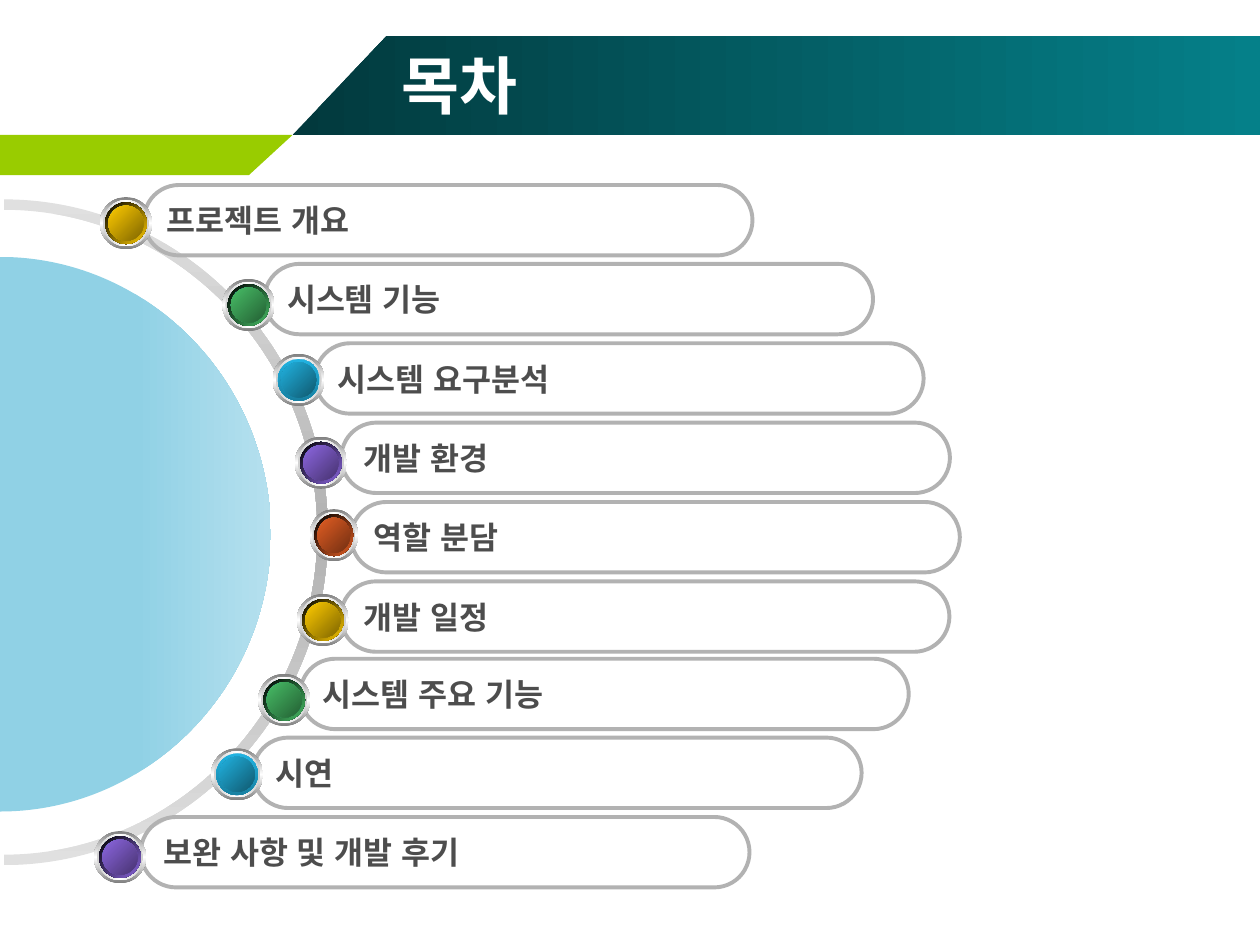
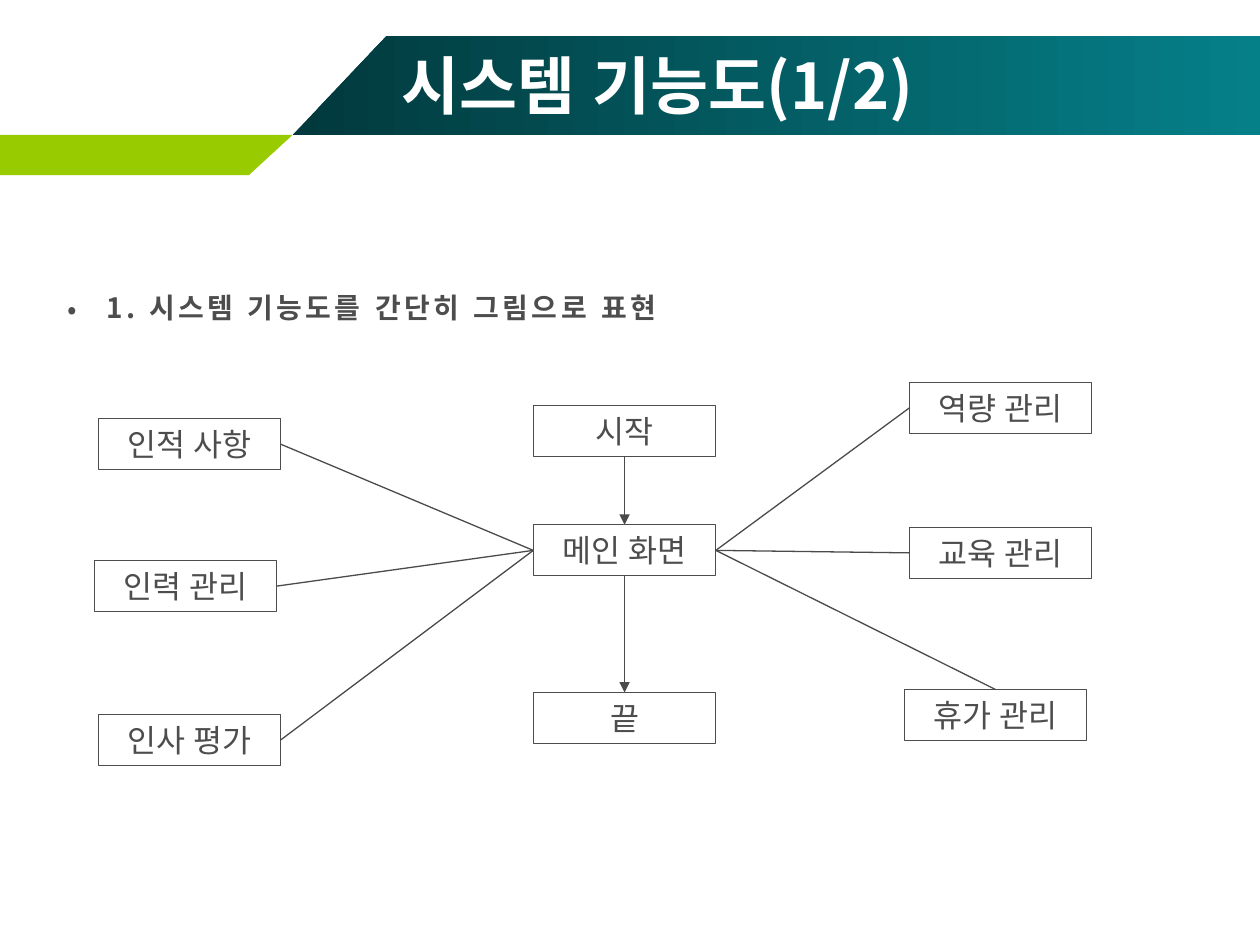
from dataclasses import dataclass
from typing import Any

from lxml import etree
from pptx import Presentation
from pptx.dml.color import RGBColor
from pptx.enum.shapes import MSO_CONNECTOR, MSO_SHAPE
from pptx.enum.text import MSO_ANCHOR, PP_ALIGN
from pptx.oxml.ns import qn
from pptx.util import Cm, Pt

STRAIGHT = MSO_CONNECTOR.STRAIGHT
ELLIPSE, PILL, BOX = MSO_SHAPE.OVAL, MSO_SHAPE.ROUNDED_RECTANGLE, MSO_SHAPE.RECTANGLE
MIDDLE, TOP = MSO_ANCHOR.MIDDLE, MSO_ANCHOR.TOP
LEFT, CENTER = PP_ALIGN.LEFT, PP_ALIGN.CENTER
SIDE_TOP, SIDE_LEFT, SIDE_BOTTOM, SIDE_RIGHT = range(4)

KOREAN_FONT, BASE_FONT = "Noto Sans CJK KR", "Arial"
WHITE, BLACK, INK, LINE_INK = "FFFFFF", "000000", "4D4D4D", "4B4B4B"
LIME, SILVER = "99CC00", "B2B2B2"
BAND_COLORS = ["02393D", "058089"]
RING_COLORS = ["E0E0E0", SILVER, "E0E0E0"]
DISC_COLORS = ["90D1E5", "90D1E5", "B5E0EE"]
CURVE = 0.55

TITLE_FORMAT = {"size": Pt(36), "bold": True, "name": KOREAN_FONT}
TOPIC_FORMAT = {"size": Pt(18), "bold": True, "name": KOREAN_FONT}
LEAD_FORMAT = {"size": Pt(16), "bold": True, "name": KOREAN_FONT}
STEP_FORMAT = {"size": Pt(18), "bold": False, "name": BASE_FONT}
NO_MARGINS = {"margin_left": 0, "margin_right": 0, "margin_top": 0, "margin_bottom": 0}

Point = tuple[float, float]


@dataclass(frozen=True)
class BeadColor:
    rim: list[str]
    rim_angle: int
    core: list[str]


@dataclass(frozen=True)
class Topic:
    label: str
    left: float
    top: float
    bead_x: float
    bead_y: float
    color: BeadColor
    squeeze: float = 1.0


@dataclass(frozen=True)
class Step:
    label: str
    left: float
    top: float


@dataclass(frozen=True)
class Link:
    start: str
    start_side: int
    end: str
    end_side: int
    arrow: bool = False


YELLOW = BeadColor([BLACK, "FFCC00"], 45, ["FFCC00", "806600"])
GREEN = BeadColor([BLACK, "48BE67"], 45, ["48BE67", "246034"])
BLUE = BeadColor(["21B3E1", "1880A1"], 90, ["21B3E1", "10596F"])
PURPLE = BeadColor([BLACK, "8D67E1"], 45, ["8D67E1", "473370"])
ORANGE = BeadColor([BLACK, "E35E23"], 45, ["E35E23", "722F12"])

TOPICS = [
    Topic("프로젝트 개요", 2.9, 3.73, 2.54, 4.5, YELLOW),
    Topic("시스템 기능", 5.33, 5.32, 5.01, 6.15, GREEN),
    Topic("시스템 요구분석", 6.35, 6.92, 6.02, 7.66, BLUE),
    Topic("개발 환경", 6.88, 8.52, 6.47, 9.33, PURPLE),
    Topic("역할 분담", 7.08, 10.12, 6.73, 10.79, ORANGE, 0.93),
    Topic("개발 일정", 6.87, 11.72, 6.51, 12.5, YELLOW),
    Topic("시스템 주요 기능", 6.05, 13.28, 5.73, 14.11, GREEN),
    Topic("시연", 5.1, 14.87, 4.78, 15.61, BLUE),
    Topic("보완 사항 및 개발 후기", 2.84, 16.47, 2.42, 17.28, PURPLE),
]

START, MAIN, END = "시작", "메인 화면", "끝"
STEPS = [
    Step(START, 10.75, 8.18),
    Step(MAIN, 10.75, 10.58),
    Step(END, 10.75, 13.96),
    Step("인적 사항", 1.98, 8.44),
    Step("인력 관리", 1.9, 11.3),
    Step("인사 평가", 1.98, 14.4),
    Step("역량 관리", 18.33, 7.71),
    Step("교육 관리", 18.33, 10.63),
    Step("휴가 관리", 18.23, 13.9),
]
LINKS = [
    Link(MAIN, SIDE_LEFT, "인적 사항", SIDE_RIGHT),
    Link(MAIN, SIDE_LEFT, "인력 관리", SIDE_RIGHT),
    Link(MAIN, SIDE_LEFT, "인사 평가", SIDE_RIGHT),
    Link(MAIN, SIDE_RIGHT, "역량 관리", SIDE_LEFT),
    Link(MAIN, SIDE_RIGHT, "교육 관리", SIDE_LEFT),
    Link(MAIN, SIDE_RIGHT, "휴가 관리", SIDE_TOP),
    Link(START, SIDE_BOTTOM, MAIN, SIDE_TOP, True),
    Link(MAIN, SIDE_BOTTOM, END, SIDE_TOP, True),
]


def rgb(color: str) -> RGBColor:
    return RGBColor.from_string(color)


def set_values(target: Any, values: dict[str, Any]) -> None:
    for attribute, value in values.items():
        setattr(target, attribute, value)


def fill_shape(shape: Any, colors: list[str], angle: int = 0) -> None:
    shape.shadow.inherit = False
    shape.line.fill.background()
    if len(colors) == 1:
        shape.fill.solid()
        shape.fill.fore_color.rgb = rgb(colors[0])
        return
    shape.fill.gradient()
    gradient = shape._element.spPr.find(qn("a:gradFill"))
    stops = gradient.find(qn("a:gsLst"))
    for stop in list(stops):
        stops.remove(stop)
    for index, color in enumerate(colors):
        position = str(100000 * index // (len(colors) - 1))
        stop = etree.SubElement(stops, qn("a:gs"), pos=position)
        etree.SubElement(stop, qn("a:srgbClr"), val=color)
    gradient.find(qn("a:lin")).set("ang", str(angle * 60000))


def outline(shape: Any, color: str, width: float) -> None:
    shape.shadow.inherit = False
    shape.fill.background()
    shape.line.color.rgb = rgb(color)
    shape.line.width = Pt(width)


def write(frame: Any, text: str, values: dict[str, Any], color: str,
          align: Any = LEFT, anchor: Any = MIDDLE, wrap: bool = True) -> Any:
    set_values(frame, {"vertical_anchor": anchor, "word_wrap": wrap})
    paragraph = frame.paragraphs[0]
    paragraph.alignment = align
    run = paragraph.add_run()
    run.text = text
    set_values(run.font, values)
    run.font.color.rgb = rgb(color)
    latin = run._r.rPr.find(qn("a:latin"))
    latin.addnext(etree.Element(qn("a:ea"), typeface=BASE_FONT))
    return run


def add_outline(slide: Any, points: list[Point], colors: list[str], angle: int = 0) -> Any:
    corners = [(Cm(x), Cm(y)) for x, y in points]
    builder = slide.shapes.build_freeform(*corners[0], scale=1.0)
    builder.add_line_segments(corners[1:], close=True)
    shape = builder.convert_to_shape()
    fill_shape(shape, colors, angle)
    return shape


def bend(shape: Any, first_segments: list[int]) -> None:
    segments = list(shape._element.iter(qn("a:lnTo")))
    for first in first_segments:
        curve = etree.Element(qn("a:cubicBezTo"))
        segments[first].addprevious(curve)
        for segment in segments[first:first + 3]:
            curve.append(segment[0])
            segment.getparent().remove(segment)


def half_ellipse(x: float, y: float, radius_x: float, radius_y: float) -> list[Point]:
    upper = [(0, -1), (CURVE, -1), (1, -CURVE), (1, 0)]
    lower = [(across, -down) for across, down in upper[-2::-1]]
    return [(x + radius_x * across, y + radius_y * down) for across, down in upper + lower]


def add_titled_slide(deck: Any, text: str) -> Any:
    slide = deck.slides.add_slide(deck.slide_layouts[5])
    title = slide.shapes.title
    set_values(title, {"left": Cm(7.84), "top": Cm(0.91), "width": Cm(16.94), "height": Cm(1.57)})
    write(title.text_frame, text, TITLE_FORMAT, WHITE)
    bands = [
        add_outline(slide, [(5.9, 2.72), (25.42, 2.72), (25.42, 0.72), (7.8, 0.72)], BAND_COLORS),
        add_outline(slide, [(0, 2.72), (5.9, 2.72), (5.02, 3.53), (0, 3.53)], [LIME]),
    ]
    for band in bands:
        title._element.addprevious(band._element)
    return slide


def add_topic(slide: Any, topic: Topic) -> None:
    pill = slide.shapes.add_shape(PILL, Cm(topic.left), Cm(topic.top), Cm(12.27), Cm(1.42))
    pill.adjustments[0] = 0.5
    outline(pill, SILVER, 2.25)
    write(pill.text_frame, topic.label, TOPIC_FORMAT, INK, wrap=False)


def add_bead(slide: Any, topic: Topic) -> None:
    layers = [
        (1.05, ["808080", WHITE, "808080"], 90),
        (0.93, ["D1D1D1", WHITE, "D1D1D1"], 0),
        (0.84, [WHITE, "2CA9D0", WHITE], 45),
        (0.84, topic.color.rim, topic.color.rim_angle),
        (0.71, ["22819F", "2CA9D0", "22819F"], 315),
        (0.71, topic.color.core, 45),
    ]
    bead = slide.shapes.add_group_shape()
    for height, colors, angle in layers:
        width = height * topic.squeeze
        layer = bead.shapes.add_shape(
            ELLIPSE, Cm(topic.bead_x - width / 2), Cm(topic.bead_y - height / 2),
            Cm(width), Cm(height))
        fill_shape(layer, colors, angle)


def add_step(slide: Any, step: Step) -> Any:
    box = slide.shapes.add_shape(BOX, Cm(step.left), Cm(step.top), Cm(3.68), Cm(1.03))
    outline(box, INK, 0.75)
    set_values(box.text_frame, NO_MARGINS)
    write(box.text_frame, step.label, STEP_FORMAT, INK, CENTER)
    return box


def add_link(slide: Any, link: Link, boxes: dict[str, Any]) -> None:
    connector = slide.shapes.add_connector(STRAIGHT, 0, 0, 0, 0)
    connector.begin_connect(boxes[link.start], link.start_side)
    connector.end_connect(boxes[link.end], link.end_side)
    connector.line.color.rgb = rgb(LINE_INK)
    connector.line.width = Pt(0.75)
    properties = connector._element.spPr
    if link.arrow:
        etree.SubElement(properties.find(qn("a:ln")), qn("a:tailEnd"), type="triangle")
    etree.SubElement(properties, qn("a:effectLst"))


def add_lead(slide: Any, text: str) -> None:
    lead = slide.shapes.add_textbox(Cm(1.11), Cm(5.73), Cm(22), Cm(0.94))
    run = write(lead.text_frame, text, LEAD_FORMAT, INK, anchor=TOP)
    run._r.rPr.set("spc", "200")
    properties = lead.text_frame.paragraphs[0]._p.get_or_add_pPr()
    properties.set("marL", str(Cm(0.79)))
    properties.set("indent", str(-Cm(0.79)))
    etree.SubElement(properties, qn("a:buFont"), typeface=KOREAN_FONT)
    etree.SubElement(properties, qn("a:buChar"), char="•")


def build_contents(deck: Any) -> None:
    slide = add_titled_slide(deck, "목차")
    outer_edge = half_ellipse(0.08, 10.73, 6.53, 6.71)
    inner_edge = half_ellipse(0.08, 10.73, 6.32, 6.5)
    ring = add_outline(slide, outer_edge + inner_edge[::-1], RING_COLORS, 90)
    bend(ring, [0, 3, 7, 10])
    disc = add_outline(slide, half_ellipse(0, 10.77, 5.46, 5.59), DISC_COLORS)
    bend(disc, [0, 3])
    for draw in (add_topic, add_bead):
        for topic in TOPICS:
            draw(slide, topic)


def build_function_map(deck: Any) -> None:
    slide = add_titled_slide(deck, "시스템 기능도(1/2)")
    add_lead(slide, "1. 시스템 기능도를 간단히 그림으로 표현")
    boxes = {step.label: add_step(slide, step) for step in STEPS}
    for link in LINKS:
        add_link(slide, link, boxes)


def main() -> None:
    deck = Presentation()
    set_values(deck, {"slide_width": Cm(25.4), "slide_height": Cm(19.05)})
    build_contents(deck)
    build_function_map(deck)
    deck.save("out.pptx")


if __name__ == "__main__":
    main()
